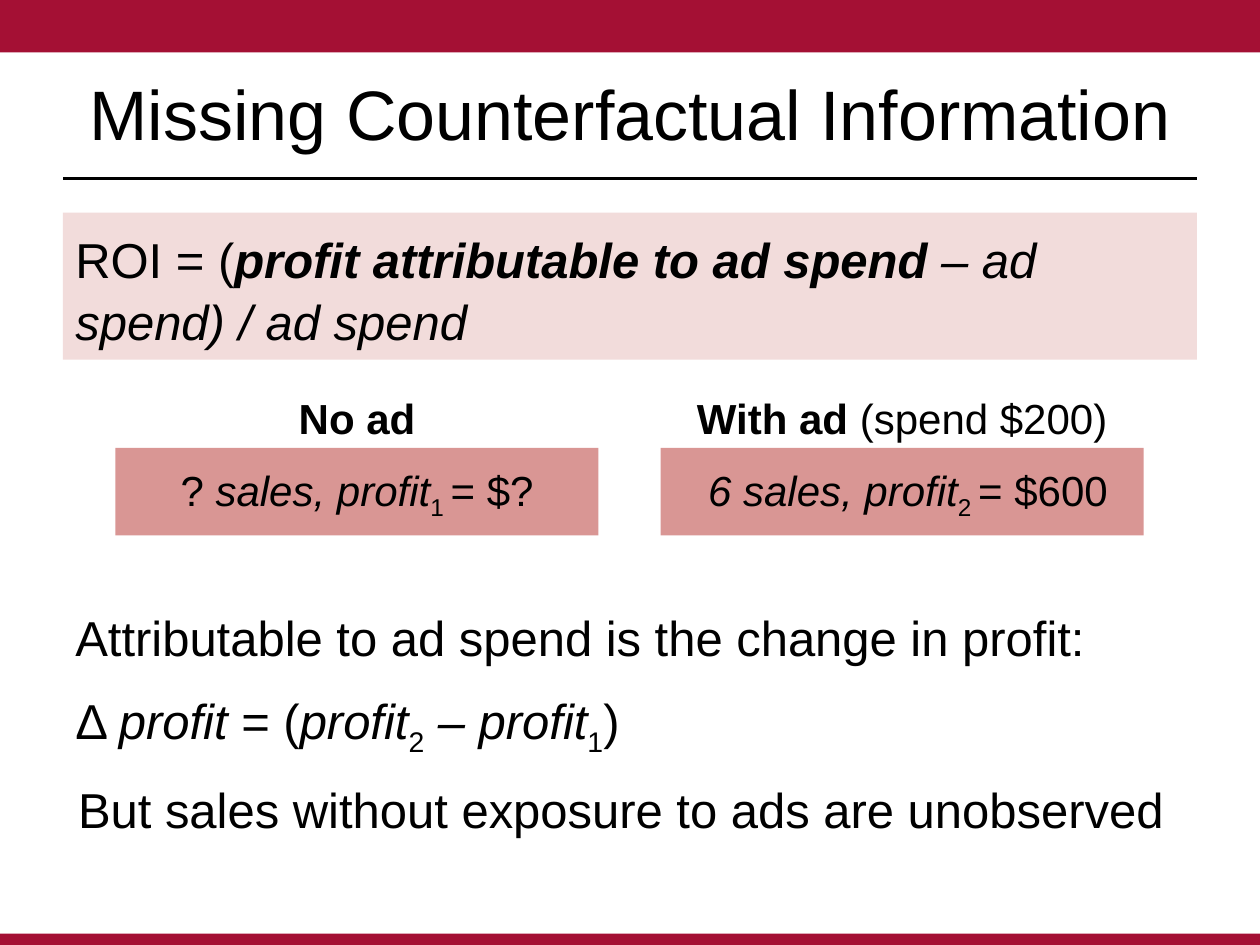
from dataclasses import dataclass

from lxml.etree import SubElement
from pptx import Presentation
from pptx.dml.color import RGBColor
from pptx.enum.shapes import MSO_CONNECTOR, MSO_SHAPE
from pptx.enum.text import MSO_ANCHOR, PP_ALIGN
from pptx.oxml.ns import qn
from pptx.shapes.base import BaseShape
from pptx.slide import Slide
from pptx.util import Pt

CRIMSON = RGBColor(0xA4, 0x10, 0x34)
PALE_PINK = RGBColor(0xF2, 0xDC, 0xDB)
ROSE = RGBColor(0xD9, 0x96, 0x94)
BLACK = RGBColor(0, 0, 0)

FONT = "Arial"
TITLE_SIZE, BODY_SIZE, CASE_SIZE = 40, 28, 24
SLIDE_WIDTH, SLIDE_HEIGHT = 720, 540
MARGIN = 36
CONTENT_WIDTH = SLIDE_WIDTH - 2 * MARGIN
CASE_WIDTH = 276


@dataclass(frozen=True)
class Box:
    left: float
    top: float
    width: float
    height: float


@dataclass(frozen=True)
class Span:
    text: str
    bold: bool = False
    italic: bool = False
    subscript: bool = False


@dataclass(frozen=True)
class AdCase:
    left: float
    heading: list[Span]
    outcome: list[Span]


AD_CASES = [
    AdCase(
        66,
        [Span("No ad", bold=True)],
        [Span("?"), Span(" sales, profit", italic=True),
         Span("1 ", subscript=True), Span("= $?")],
    ),
    AdCase(
        377.5,
        [Span("With ad ", bold=True), Span("(spend $200)")],
        [Span(" 6 sales, profit", italic=True),
         Span("2 ", subscript=True), Span("= $600")],
    ),
]

ROI_FORMULA = [
    Span("ROI = ("),
    Span("profit attributable to ad spend", bold=True, italic=True),
    Span(" – ad spend) / ad spend", italic=True),
]
PROFIT_CHANGE = [
    [Span("Attributable to ad spend is the change in profit:")],
    [
        Span("Δ "), Span("profit", italic=True), Span(" = ("),
        Span("profit", italic=True), Span("2", subscript=True),
        Span(" – profit", italic=True), Span("1", subscript=True), Span(")"),
    ],
]
CAVEAT = [Span("But sales without exposure to ads are unobserved")]


def write(
    shape: BaseShape,
    paragraphs: list[list[Span]],
    size: float,
    align: PP_ALIGN = PP_ALIGN.LEFT,
    anchor: MSO_ANCHOR = MSO_ANCHOR.TOP,
) -> None:
    """Fill a shape with paragraphs made of formatted spans."""
    frame = shape.text_frame
    frame.word_wrap = True
    frame.vertical_anchor = anchor
    for index, spans in enumerate(paragraphs):
        paragraph = frame.add_paragraph() if index else frame.paragraphs[0]
        paragraph.alignment = align
        paragraph.line_spacing = 1.05
        if index:
            paragraph.space_before = Pt(12)
        for span in spans:
            run = paragraph.add_run()
            run.text = span.text
            run.font.name = FONT
            run.font.size = Pt(size)
            run.font.color.rgb = BLACK
            run.font.bold = span.bold
            run.font.italic = span.italic
            if span.subscript:
                run._r.get_or_add_rPr().set("baseline", "-25000")


def add_panel(slide: Slide, box: Box, color: RGBColor) -> BaseShape:
    panel = slide.shapes.add_shape(
        MSO_SHAPE.RECTANGLE,
        Pt(box.left), Pt(box.top), Pt(box.width), Pt(box.height),
    )
    panel.shadow.inherit = False
    panel.fill.solid()
    panel.fill.fore_color.rgb = color
    panel.line.fill.background()
    return panel


def add_text(slide: Slide, box: Box) -> BaseShape:
    return slide.shapes.add_textbox(
        Pt(box.left), Pt(box.top), Pt(box.width), Pt(box.height)
    )


def add_title_rule(slide: Slide, top: float) -> None:
    rule = slide.shapes.add_connector(
        MSO_CONNECTOR.STRAIGHT,
        Pt(MARGIN), Pt(top), Pt(SLIDE_WIDTH - MARGIN), Pt(top),
    )
    rule.line.color.rgb = BLACK
    rule.line.width = Pt(1.25)
    SubElement(rule._element.spPr, qn("a:effectLst"))


def add_ad_case(slide: Slide, case: AdCase) -> None:
    panel = add_panel(slide, Box(case.left, 256, CASE_WIDTH, 50), ROSE)
    write(panel, [case.outcome], CASE_SIZE, PP_ALIGN.CENTER, MSO_ANCHOR.MIDDLE)
    heading = add_text(slide, Box(case.left, 219.6, CASE_WIDTH, 36))
    write(heading, [case.heading], CASE_SIZE, PP_ALIGN.CENTER)


def main() -> None:
    presentation = Presentation()
    presentation.slide_width = Pt(SLIDE_WIDTH)
    presentation.slide_height = Pt(SLIDE_HEIGHT)
    slide = presentation.slides.add_slide(presentation.slide_layouts[6])

    add_panel(slide, Box(0, 0, SLIDE_WIDTH, 30), CRIMSON)
    add_panel(slide, Box(0, 533.5, SLIDE_WIDTH, 6.5), CRIMSON)
    add_title_rule(slide, 102)

    title = add_text(slide, Box(MARGIN, 18, CONTENT_WIDTH, 90))
    write(title, [[Span("Missing Counterfactual Information")]],
          TITLE_SIZE, PP_ALIGN.CENTER, MSO_ANCHOR.MIDDLE)

    add_panel(slide, Box(MARGIN, 121.5, CONTENT_WIDTH, 84), PALE_PINK)
    formula = add_text(slide, Box(MARGIN, 126, CONTENT_WIDTH, 84))
    write(formula, [ROI_FORMULA], BODY_SIZE)

    for case in AD_CASES:
        add_ad_case(slide, case)

    profit_change = add_text(slide, Box(MARGIN, 342, CONTENT_WIDTH, 132))
    write(profit_change, PROFIT_CHANGE, BODY_SIZE)
    caveat = add_text(slide, Box(37.5, 440, 646.5, 41))
    write(caveat, [CAVEAT], BODY_SIZE)

    presentation.save("out.pptx")


if __name__ == "__main__":
    main()
